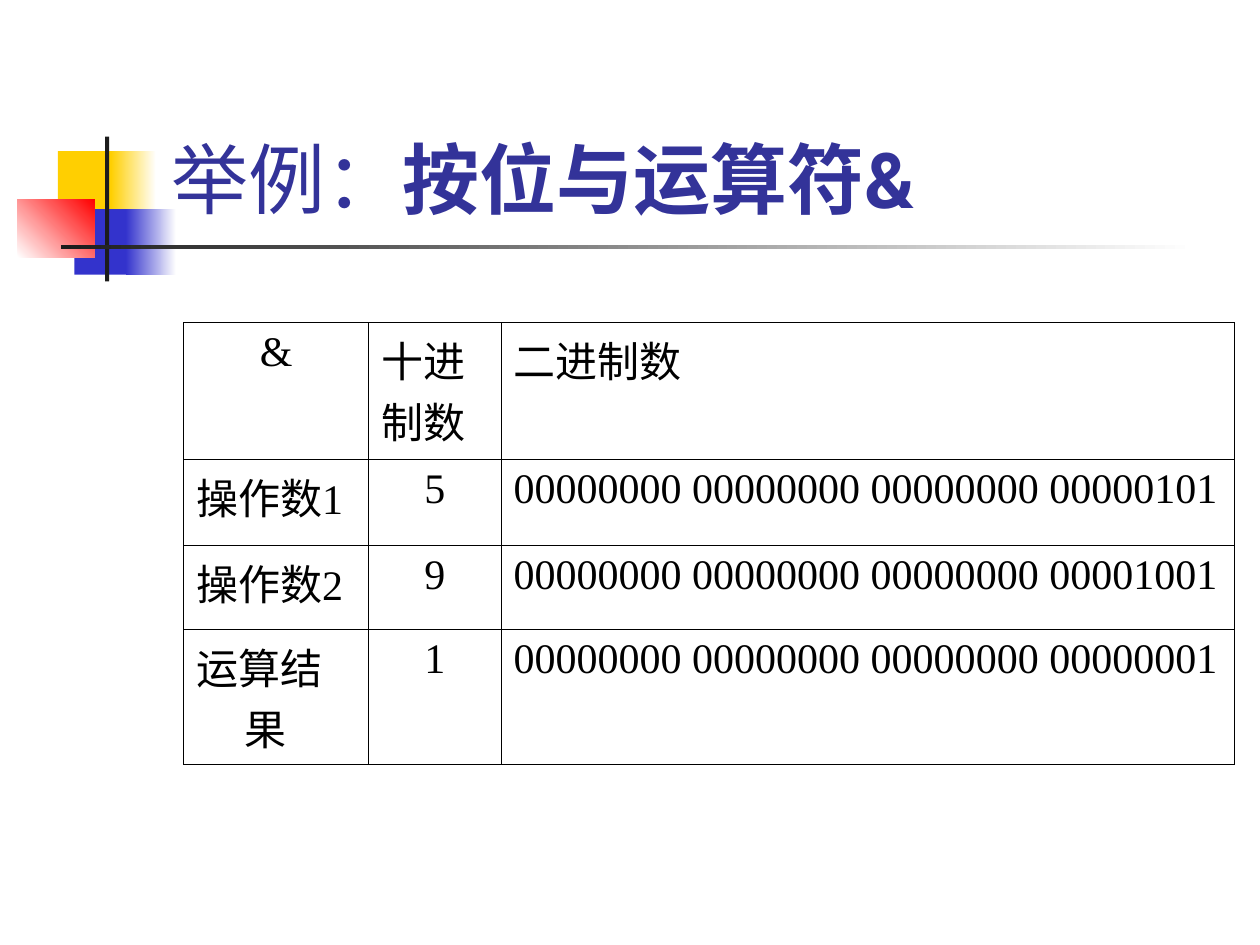
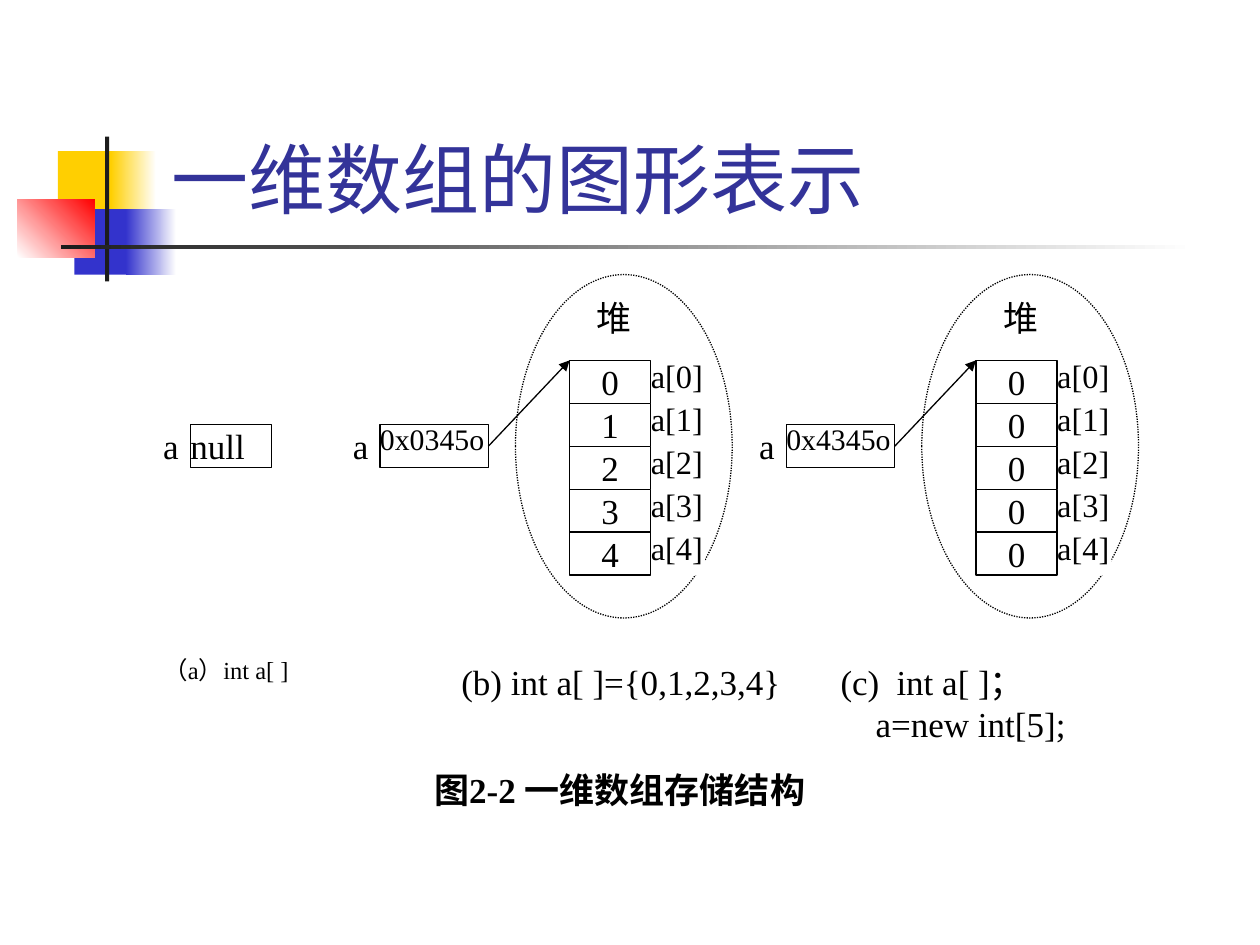
from dataclasses import dataclass

from lxml.etree import SubElement
from pptx import Presentation
from pptx.dml.color import RGBColor as RGB
from pptx.enum.dml import MSO_LINE_DASH_STYLE as DASH
from pptx.enum.shapes import MSO_CONNECTOR, MSO_SHAPE
from pptx.enum.text import MSO_ANCHOR, MSO_AUTO_SIZE, PP_ALIGN
from pptx.oxml.ns import qn
from pptx.util import Pt


@dataclass(frozen=True)
class Theme:
    title: str = "333399"
    black: str = "000000"
    white: str = "FFFFFF"
    yellow: str = "FFCF01"
    blue: str = "3333CC"
    red: str = "FF0000"
    bar: str = "1C1C1C"
    heading: str = "Roboto"
    body: str = "Times New Roman"
    title_size: float = 44
    table_size: float = 24
    text_size: float = 20
    label_size: float = 18.5
    address_size: float = 17
    note_size: float = 14
    line: float = 0.75
    border: float = 0.45


T = Theme()

DECOR = [
    ((33.12, 86.4, 34.56, 37.44), (T.yellow,), 0),
    ((63.36, 86.4, 25.92, 37.44), (T.yellow, T.white), 0),
    ((42.48, 119.52, 33.12, 37.44), (T.blue,), 0),
    ((72, 119.52, 28.8, 37.44), (T.blue, T.white), 0),
    ((10.08, 113.76, 43.92, 33.4), (T.white, T.red), 45),
    ((60.1, 78, 2.3, 82.8), (T.bar,), 0),
    ((34.9, 140, 648, 2.5), (T.bar, T.white), 0),
]
TITLE_BOX = (90.72, 16.56, 613.44, 115.2)

AND_TITLE = [("举例：", False), ("按位与运算符&", True)]
AND_ROWS = [
    ("&", "十进制数", "二进制数"),
    ("操作数1", "5", "00000000 00000000 00000000 00000101"),
    ("操作数2", "9", "00000000 00000000 00000000 00001001"),
    ("运算结果", "1", "00000000 00000000 00000000 00000001"),
]
COL_WIDTHS = (105.84, 75.6, 418.8)
ROW_HEIGHTS = (78.3, 49.1, 48, 77)
TABLE_AT = (104.9, 184.3)
HANGING = 27.36

ARRAY_TITLE = [("一维数组的图形表示", False)]
VARIABLES = [
    {"col": 0, "value": "null", "width": 3},
    {"col": 7, "value": "0x0345o", "width": 4, "heap": range(5)},
    {"col": 22, "value": "0x4345o", "width": 4, "heap": [0] * 5},
]
CAPTIONS = [
    ((0, 9, 6, 1), ["（a）int a[ ]"], {"size": T.note_size, "spacing": 0.8}),
    ((11, 9, 14, 2), ["(b) int a[ ]={0,1,2,3,4}"], {}),
    ((25, 9, 12, 2), ["(c)\tint a[ ]；", "a=new int[5];"], {}),
    ((10, 11.5, 16, 1), ["图2-2 一维数组存储结构"], {"bold": True}),
]
GRID_LEFT, GRID_TOP = 93.3, 156.9
GRID_COL, GRID_ROW = 15.48, 24.53


def rgb(color):
    return RGB.from_string(color)


def pts(values):
    return [Pt(v) for v in values]


def set_all(obj, values):
    for name, value in values.items():
        setattr(obj, name, value)


def add_run(p, text, size, font=T.body, color=T.black, bold=False):
    r = p.add_run()
    r.text = text
    set_all(r.font, {"size": Pt(size), "name": font, "bold": bold})
    r.font.color.rgb = rgb(color)


def indent(p, left, first=0):
    pPr = p._p.get_or_add_pPr()
    pPr.set("marL", str(Pt(left)))
    pPr.set("indent", str(Pt(first)))


def add_tab(p, at):
    tabs = SubElement(p._p.get_or_add_pPr(), qn("a:tabLst"))
    SubElement(tabs, qn("a:tab"), pos=str(Pt(at)), algn="l")


def add_block(s, box, colors, angle=0, kind=MSO_SHAPE.RECTANGLE):
    sp = s.shapes.add_shape(kind, *pts(box))
    sp.shadow.inherit = False
    sp.line.fill.background()
    if len(colors) == 1:
        sp.fill.solid()
        sp.fill.fore_color.rgb = rgb(colors[0])
    else:
        sp.fill.gradient()
        sp.fill.gradient_angle = angle
        for stop, color in zip(sp.fill.gradient_stops, colors):
            stop.color.rgb = rgb(color)
    return sp


def outline(sp, dash=None):
    sp.line.color.rgb = rgb(T.black)
    sp.line.width = Pt(T.line)
    if dash:
        sp.line.dash_style = dash


def decorate(layout, s):
    for ph in list(layout.placeholders)[1:]:
        layout.shapes.element.remove(ph.element)
    for i, (box, colors, angle) in enumerate(DECOR):
        sp = add_block(s, box, colors, angle)
        layout.shapes.element.insert(2 + i, sp.element)


def add_title(s, parts):
    title = s.shapes.title
    set_all(title, dict(zip(("left", "top", "width", "height"), pts(TITLE_BOX))))
    tf = title.text_frame
    set_all(tf, {"vertical_anchor": MSO_ANCHOR.BOTTOM, "word_wrap": True,
                 "auto_size": MSO_AUTO_SIZE.NONE})
    p = tf.paragraphs[0]
    p.alignment = PP_ALIGN.LEFT
    for text, bold in parts:
        add_run(p, text, T.title_size, T.heading, T.title, bold)


def add_borders(cell):
    tcPr = cell._tc.get_or_add_tcPr()
    for side in ("lnL", "lnR", "lnT", "lnB"):
        ln = SubElement(tcPr, qn(f"a:{side}"), w=str(Pt(T.border)))
        fill = SubElement(ln, qn("a:solidFill"))
        SubElement(fill, qn("a:srgbClr"), val=T.black)


def add_and_table(s):
    size = sum(COL_WIDTHS), sum(ROW_HEIGHTS)
    table = s.shapes.add_table(len(AND_ROWS), len(COL_WIDTHS),
                               *pts(TABLE_AT + size)).table
    set_all(table, {"first_row": False, "horz_banding": False})
    for col, width in zip(table.columns, COL_WIDTHS):
        col.width = Pt(width)
    for row, height, texts in zip(table.rows, ROW_HEIGHTS, AND_ROWS):
        row.height = Pt(height)
        for cell, text in zip(row.cells, texts):
            add_borders(cell)
            cell.fill.background()
            p = cell.text_frame.paragraphs[0]
            if len(text) == 1:
                p.alignment = PP_ALIGN.CENTER
            if text != "十进制数":
                indent(p, HANGING, -HANGING)
            add_run(p, text, T.table_size)


def grid(col, row, cols=0, rows=0):
    return (GRID_LEFT + col * GRID_COL, GRID_TOP + row * GRID_ROW,
            cols * GRID_COL, rows * GRID_ROW)


def add_text_box(s, place, lines, size=T.text_size, spacing=None, bold=False,
                 align=PP_ALIGN.LEFT, framed=False):
    sp = add_block(s, grid(*place), (T.white,))
    if framed:
        outline(sp)
    tf = sp.text_frame
    set_all(tf, {"word_wrap": True, "vertical_anchor": MSO_ANCHOR.TOP,
                 "margin_left": 0, "margin_right": 0,
                 "margin_top": 0, "margin_bottom": 0})
    for i, text in enumerate(lines):
        p = tf.add_paragraph() if i else tf.paragraphs[0]
        set_all(p, {"alignment": align, "line_spacing": spacing})
        if i:
            indent(p, 20)
        if "\t" in text:
            add_tab(p, 32)
        add_run(p, text, size, bold=bold)
    return sp


def add_arrow(s, box, col, row):
    x, y = pts(grid(col, row)[:2])
    line = s.shapes.add_connector(MSO_CONNECTOR.STRAIGHT, x, y, x, y)
    line.begin_connect(box, 3)
    outline(line)
    SubElement(line.line._get_or_add_ln(), qn("a:tailEnd"), type="triangle")
    SubElement(line._element.spPr, qn("a:effectLst"))


def add_heap(s, col, values, pointer):
    oval = add_block(s, grid(col, 0, 8, 8), (T.white,), kind=MSO_SHAPE.OVAL)
    outline(oval, DASH.ROUND_DOT)
    add_text_box(s, (col + 3, 0.5, 2, 1), ["堆"])
    for i, value in enumerate(values):
        add_text_box(s, (col + 5, 2 + i, 2, 1), [f"a[{i}]"],
                     size=T.label_size, spacing=0.9)
        add_text_box(s, (col + 2, 2 + i, 3, 1), [str(value)],
                     align=PP_ALIGN.CENTER, framed=True)
    add_arrow(s, pointer, col + 2, 2)


def add_array_diagram(s):
    for var in VARIABLES:
        col, width = var["col"], var["width"]
        add_text_box(s, (col, 3.5, 1, 1), ["a"])
        style = {"size": T.address_size, "spacing": 0.9} if "heap" in var else {}
        box = add_text_box(s, (col + 1, 3.5, width, 1), [var["value"]],
                           framed=True, **style)
        if "heap" in var:
            add_heap(s, col + width + 2, var["heap"], box)
    for place, lines, style in CAPTIONS:
        add_text_box(s, place, lines, **style)


def main():
    prs = Presentation()
    set_all(prs, {"slide_width": Pt(720), "slide_height": Pt(540)})
    layout = prs.slide_layouts[5]
    and_slide, array_slide = (prs.slides.add_slide(layout) for _ in range(2))
    decorate(layout, and_slide)
    add_title(and_slide, AND_TITLE)
    add_and_table(and_slide)
    add_title(array_slide, ARRAY_TITLE)
    add_array_diagram(array_slide)
    prs.save("out.pptx")


if __name__ == "__main__":
    main()
